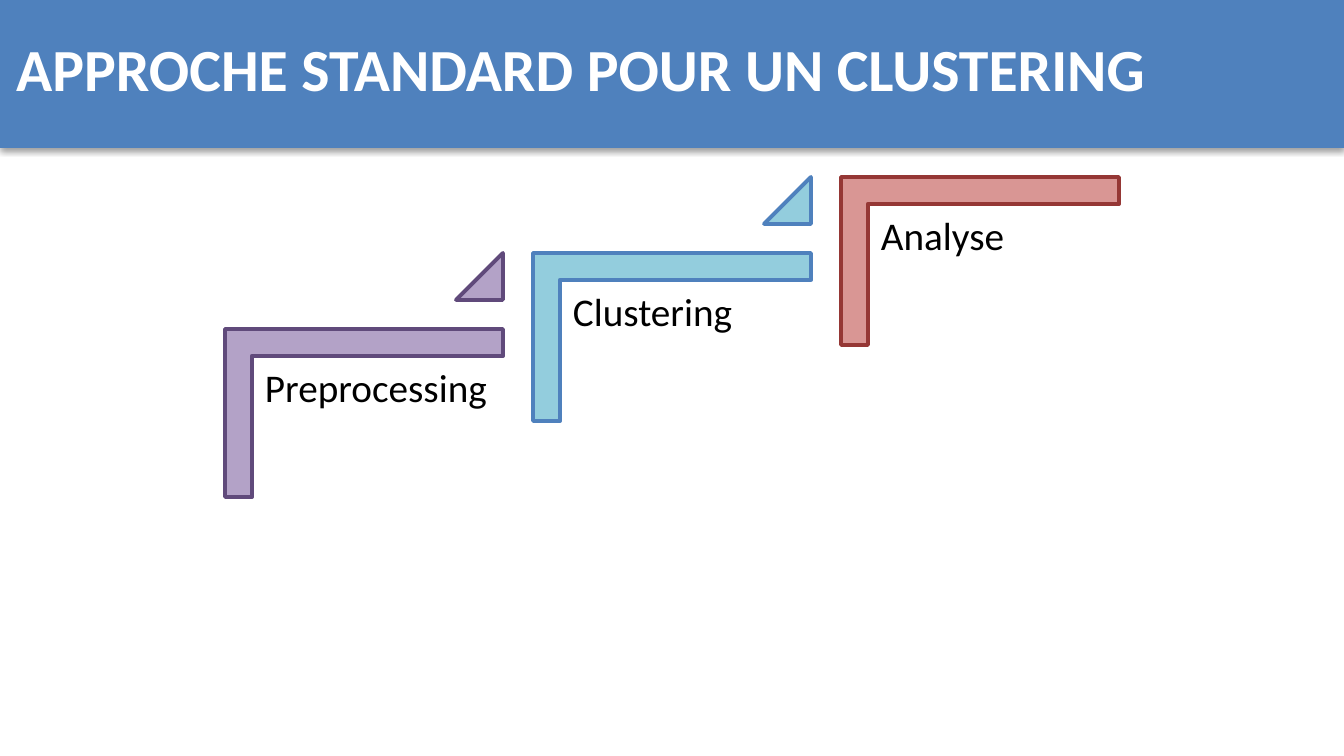
from lxml import etree
from pptx import Presentation
from pptx.dml.color import RGBColor
from pptx.enum.shapes import MSO_SHAPE as SHAPE
from pptx.enum.text import MSO_ANCHOR as ANCHOR
from pptx.oxml import parse_xml
from pptx.util import Pt

SCALE = 914400 / 134.4  # EMU per px
FONT = "Calibri"
COLORS = {
    "blue": "4F81BD", "white": "FFFFFF", "black": "000000",
    "lilac": "B3A2C7", "purple": "604A7B", "aqua": "93CDDD",
    "rose": "D99694", "red": "953735",
}
STEPS = [
    ("Preprocessing", "lilac", "purple"),
    ("Clustering", "aqua", "blue"),
    ("Analyse", "rose", "red"),
]
FIRST_X, FIRST_Y = 225, 329
STEP_X, STEP_Y = 308, -76
CORNER_W, CORNER_H = 278, 168
TRIANGLE = 47
SHADOW = (
    '<a:effectLst xmlns:a="http://schemas.openxmlformats.org/drawingml/2006/main">'
    '<a:outerShdw blurRad="40000" dist="20000" dir="5400000" rotWithShape="0">'
    '<a:srgbClr val="000000"><a:alpha val="38000"/></a:srgbClr>'
    '</a:outerShdw></a:effectLst>'
)


def px(*values):
    return [round(v * SCALE) for v in values]


def rgb(name):
    return RGBColor.from_string(COLORS[name])


def add_shape(slide, kind, box, fill, line=None):
    s = slide.shapes.add_shape(kind, *px(*box))
    s.shadow.inherit = False
    s.fill.solid()
    s.fill.fore_color.rgb = rgb(fill)
    if line:
        s.line.color.rgb = rgb(line)
        s.line.width = Pt(2)
    else:
        s.line.fill.background()
    return s


def add_text(slide, box, text, size, color, bold=False, anchor=ANCHOR.TOP):
    tf = slide.shapes.add_textbox(*px(*box)).text_frame
    tf.word_wrap = True
    tf.vertical_anchor = anchor
    p = tf.paragraphs[0]
    p.text = text
    p.font.name = FONT
    p.font.size = Pt(size)
    p.font.bold = bold
    p.font.color.rgb = rgb(color)
    return tf


def add_banner(slide, title):
    s = add_shape(slide, SHAPE.RECTANGLE, (0, 0, 1344, 148), "blue")
    effects = s.element.spPr.find("{*}effectLst")
    s.element.spPr.replace(effects, parse_xml(SHADOW))
    add_text(slide, (3, 5, 1210, 126), title, 32, "white", True, ANCHOR.MIDDLE)


def add_step(slide, x, y, label, fill, line, has_next):
    # Corner: its frame is given before the quarter turn about its centre
    turn = (CORNER_W - CORNER_H) // 2
    s = add_shape(slide, SHAPE.CORNER,
                  (x + turn, y - turn, CORNER_H, CORNER_W), fill, line)
    s.rotation = 90
    s.adjustments[0] = s.adjustments[1] = 0.16

    # Label
    tf = add_text(slide, (x + 28, y + 28, 251, 220), label, 21, "black")
    tf.margin_left, tf.margin_top, tf.margin_right, tf.margin_bottom = px(12, 12, 12, 12)
    tf.paragraphs[0].line_spacing = 0.9

    # Triangle leading up to the next step
    if has_next:
        s = add_shape(slide, SHAPE.ISOSCELES_TRIANGLE,
                      (x + CORNER_W - TRIANGLE, y + STEP_Y, TRIANGLE, TRIANGLE),
                      fill, line)
        s.adjustments[0] = 1


def main():
    prs = Presentation()
    prs.slide_width, prs.slide_height = px(1344, 756)
    slide = prs.slides.add_slide(prs.slide_layouts[6])
    add_banner(slide, "APPROCHE STANDARD POUR UN CLUSTERING")
    for i, (label, fill, line) in enumerate(STEPS):
        add_step(slide, FIRST_X + i * STEP_X, FIRST_Y + i * STEP_Y,
                 label, fill, line, i < len(STEPS) - 1)
    prs.save("out.pptx")


if __name__ == "__main__":
    main()
